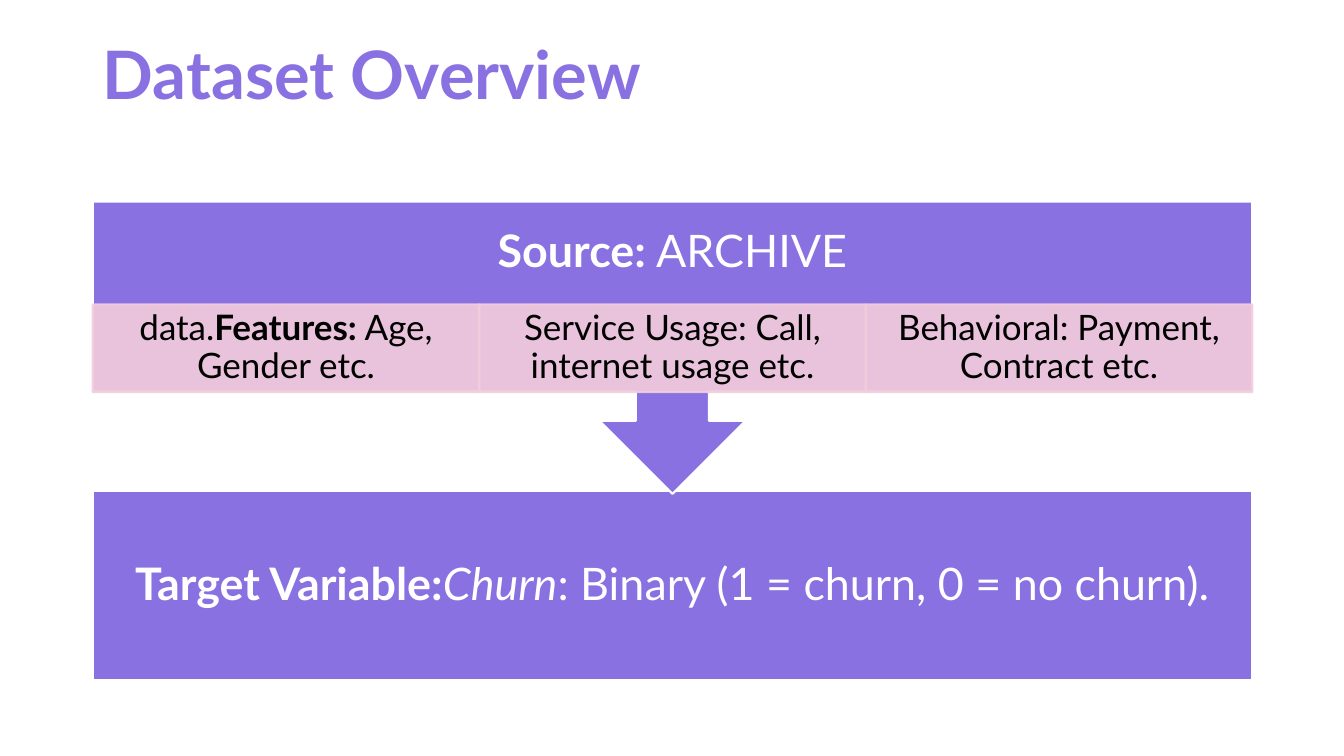
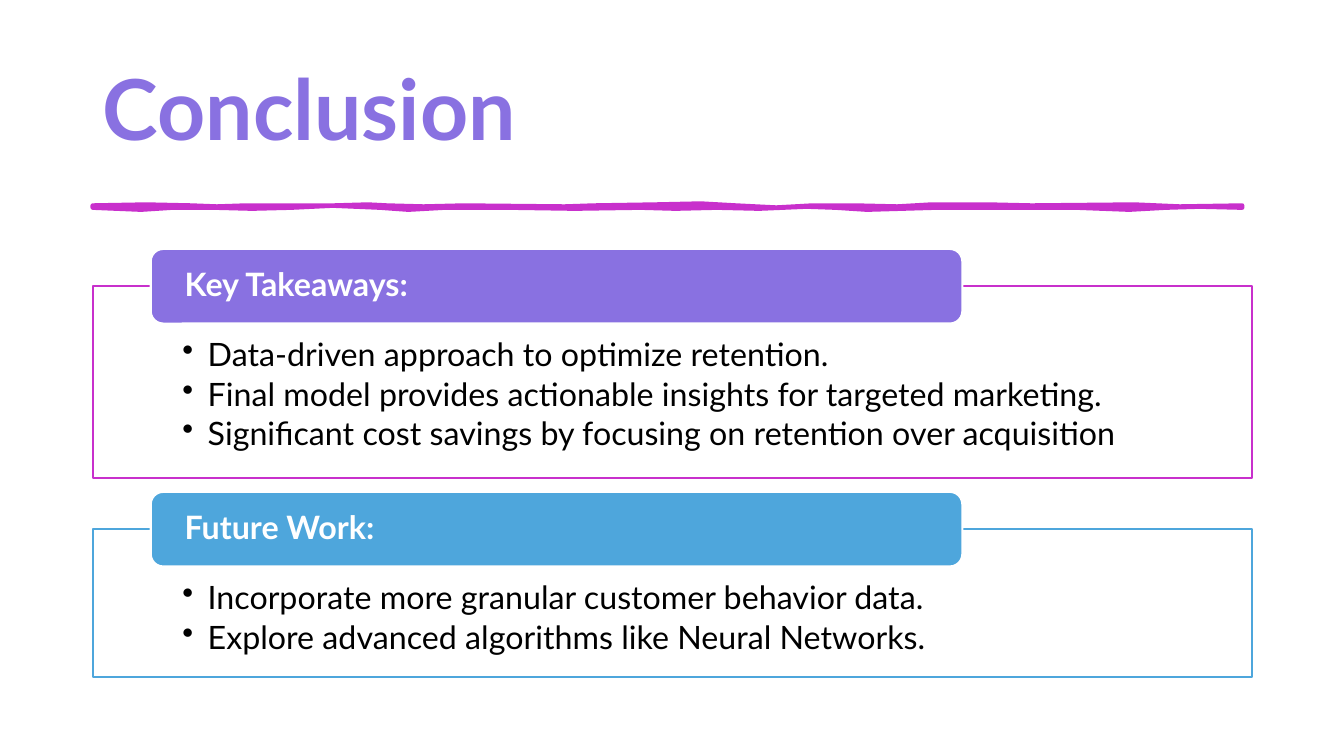
"""Build the dataset overview and conclusion slides."""
from lxml.etree import SubElement
from pptx import Presentation
from pptx.dml.color import RGBColor
from pptx.enum.shapes import MSO_SHAPE
from pptx.enum.text import MSO_ANCHOR, PP_ALIGN
from pptx.oxml.ns import qn
from pptx.util import Inches, Pt

FONT = "Lato"
PURPLE, MAGENTA, BLUE, PINK = "8971E1", "C830CC", "4EA6DC", "F4CDDC"
WHITE, BLACK = "FFFFFF", "000000"
LEFT, WIDTH = 0.92, 11.5

SOURCE = [("Source:", "b"), (" ARCHIVE", "")]
FEATURES = [
    [("data.", ""), ("Features:", "b"), (" Age, Gender etc.", "")],
    [("Service Usage: Call, internet usage etc.", "")],
    [("Behavioral: Payment, Contract etc.", "")],
]
TARGET = [("Target Variable:", "b"), ("Churn", "i"), (": Binary (1 = churn, 0 = no churn).", "")]

CARDS = [
    ("Key Takeaways:", PURPLE, MAGENTA, 2.84, 1.9, [
        "Data-driven approach to optimize retention.",
        "Final model provides actionable insights for targeted marketing.",
        "Significant cost savings by focusing on retention over acquisition",
    ]),
    ("Future Work:", BLUE, BLUE, 5.25, 1.47, [
        "Incorporate more granular customer behavior data.",
        "Explore advanced algorithms like Neural Networks.",
    ]),
]
STROKE_TOP = [
    (0.92, 2.04), (1.45, 2.03), (1.9, 2.04), (2.15, 2.05), (2.44, 2.04), (3.31, 2.04),
    (3.65, 2.03), (3.84, 2.04), (4.2, 2.05), (4.6, 2.04), (5.6, 2.05), (5.89, 2.04),
    (6.5, 2.03), (6.95, 2.02), (7.3, 2.04), (7.7, 2.06), (8.06, 2.04), (8.48, 2.04),
    (8.9, 2.05), (9.24, 2.03), (9.8, 2.03), (10.23, 2.04), (11.25, 2.03), (11.7, 2.05), (12.32, 2.04),
]
STROKE_BOTTOM = [
    (12.32, 2.06), (11.9, 2.05), (11.56, 2.06), (11.2, 2.08), (10.68, 2.06), (10.3, 2.06),
    (9.81, 2.06), (9.28, 2.06), (8.6, 2.08), (8.29, 2.06), (8.0, 2.05), (7.53, 2.07),
    (7.11, 2.06), (6.7, 2.07), (6.35, 2.06), (5.7, 2.07), (5.06, 2.06), (4.41, 2.06),
    (4.05, 2.08), (3.77, 2.06), (3.3, 2.04), (2.89, 2.06), (2.5, 2.07), (2.13, 2.06),
    (1.71, 2.06), (1.4, 2.08), (0.92, 2.06),
]


def color(value):
    """Turn a hex string into a colour."""
    return RGBColor.from_string(value)


def write(shape, paragraphs, size, ink, align=PP_ALIGN.LEFT, anchor=MSO_ANCHOR.MIDDLE,
          insets=(0.1, 0.05, 0.1, 0.05), bullet=None, after=0):
    """Fill a shape with paragraphs of (text, style) runs."""
    frame = shape.text_frame
    frame.word_wrap = True
    frame.vertical_anchor = anchor
    frame.margin_left, frame.margin_top, frame.margin_right, frame.margin_bottom = map(Inches, insets)
    for index, runs in enumerate(paragraphs):
        paragraph = frame.add_paragraph() if index else frame.paragraphs[0]
        paragraph.alignment = align
        paragraph.line_spacing = 0.9
        paragraph.space_after = Pt(after)
        if bullet:
            properties = paragraph._p.get_or_add_pPr()
            properties.set("marL", str(Inches(0.25)))
            properties.set("indent", str(-Inches(0.25)))
            SubElement(properties, qn("a:buChar")).set("char", bullet)
        for text, style in runs:
            run = paragraph.add_run()
            run.text = text
            run.font.name, run.font.size = FONT, Pt(size)
            run.font.bold, run.font.italic = "b" in style, "i" in style
            run.font.color.rgb = color(ink)


def paint(shape, fill, line, weight=1.5, opacity=100):
    """Set a shape's fill, outline and opacity."""
    shape.shadow.inherit = False
    shape.fill.solid()
    shape.fill.fore_color.rgb = color(fill)
    shape.line.color.rgb = color(line)
    shape.line.width = Pt(weight)
    if opacity < 100:
        for tone in shape._element.spPr.iter(qn("a:srgbClr")):
            SubElement(tone, qn("a:alpha")).set("val", str(opacity * 1000))


def block(slide, preset, box, fill, line, **look):
    """Add a painted preset shape at a box in inches."""
    shape = slide.shapes.add_shape(preset, *map(Inches, box))
    paint(shape, fill, line, **look)
    return shape


def titled_slide(deck, title, size, bottom=0.05):
    """Add a title-only slide with the shared title style."""
    slide = deck.slides.add_slide(deck.slide_layouts[5])
    heading = slide.shapes.title
    heading.left, heading.top, heading.width, heading.height = map(Inches, (LEFT, 0.4, WIDTH, 1.45))
    write(heading, [[(title, "b")]], size, PURPLE, insets=(0.1, 0.05, 0.1, bottom))
    return slide


def overview(deck):
    """Build the dataset slide."""
    slide = titled_slide(deck, "Dataset Overview", 47.7, bottom=0.75)
    target = block(slide, MSO_SHAPE.RECTANGLE, (LEFT, 4.87, WIDTH, 1.88), PURPLE, WHITE)
    write(target, [TARGET], 32, WHITE, align=PP_ALIGN.CENTER, insets=[0.25] * 4)
    source = block(slide, MSO_SHAPE.DOWN_ARROW_CALLOUT, (LEFT, 2, WIDTH, 2.9), PURPLE, WHITE)
    write(source, [SOURCE], 32, WHITE, align=PP_ALIGN.CENTER, insets=(0.25, 0.25, 0.25, 1.11))
    column = WIDTH / len(FEATURES)
    for index, runs in enumerate(FEATURES):
        feature = block(slide, MSO_SHAPE.RECTANGLE, (LEFT + index * column, 3.02, column, 0.87),
                        PINK, PINK, opacity=90)
        write(feature, [runs], 25, BLACK, align=PP_ALIGN.CENTER, insets=(0.19, 0.03, 0.19, 0.03))


def conclusion(deck):
    """Build the closing slide."""
    slide = titled_slide(deck, "Conclusion", 60)
    start, *rest = [(Inches(x), Inches(y)) for x, y in STROKE_TOP + STROKE_BOTTOM]
    builder = slide.shapes.build_freeform(*start)
    builder.add_line_segments(rest, close=True)
    stroke = builder.convert_to_shape()
    paint(stroke, MAGENTA, MAGENTA, weight=3.25)
    SubElement(stroke.line._get_or_add_ln(), qn("a:round"))
    for heading, tab_fill, border, top, height, items in CARDS:
        panel = block(slide, MSO_SHAPE.RECTANGLE, (LEFT, top, WIDTH, height), WHITE, border)
        write(panel, [[(item, "")] for item in items], 23, BLACK, anchor=MSO_ANCHOR.TOP,
              insets=(0.89, 0.52, 0.89, 0.18), bullet="•", after=3.45)
        tab = block(slide, MSO_SHAPE.ROUNDED_RECTANGLE,
                    (LEFT + WIDTH * 0.05, top - 0.37, WIDTH * 0.7, 0.74), tab_fill, WHITE)
        write(tab, [[(heading, "b")]], 23, WHITE, insets=(0.3, 0, 0.3, 0))


def main():
    """Assemble and save the deck."""
    deck = Presentation()
    deck.slide_width, deck.slide_height = Inches(13.33), Inches(7.5)
    overview(deck)
    conclusion(deck)
    deck.save("out.pptx")


if __name__ == "__main__":
    main()
